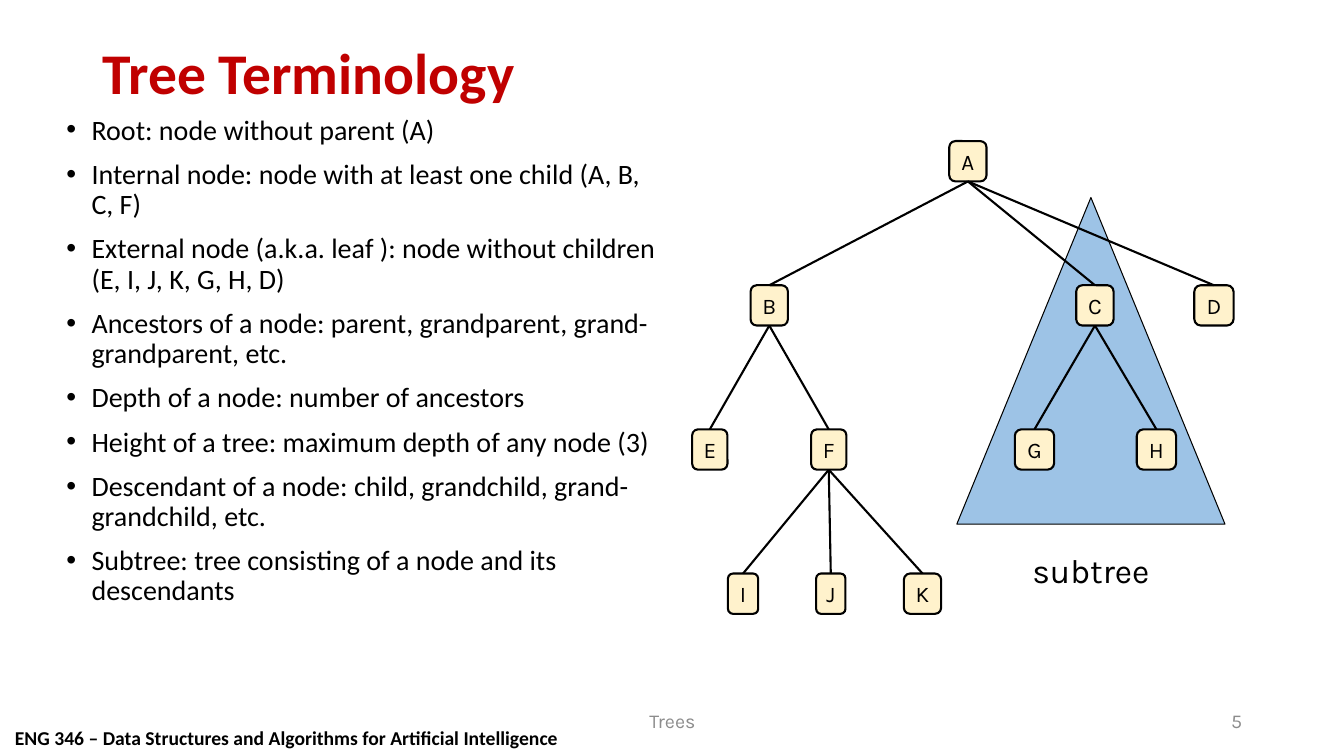
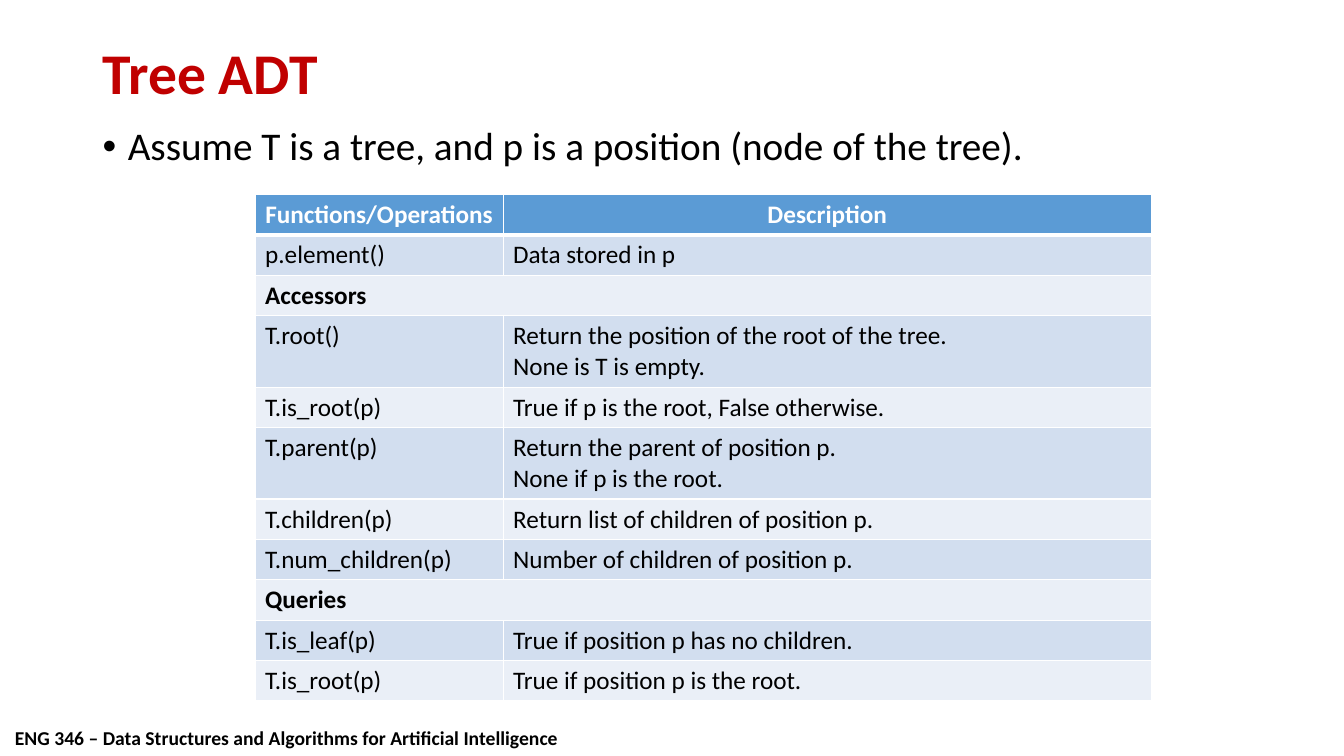
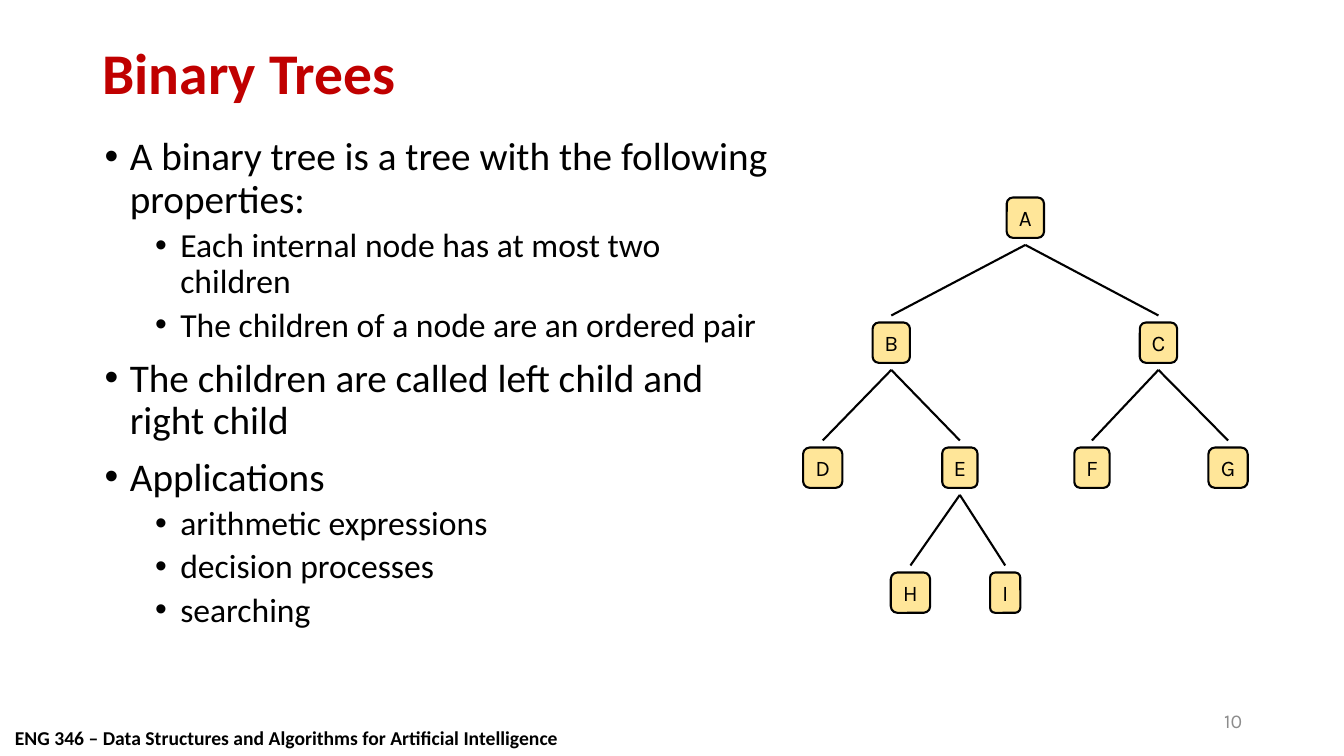
from lxml import etree
from pptx import Presentation
from pptx.dml.color import RGBColor
from pptx.enum.shapes import MSO_CONNECTOR, MSO_SHAPE
from pptx.enum.text import MSO_ANCHOR, PP_ALIGN
from pptx.oxml.ns import qn
from pptx.util import Inches, Pt

BLACK, WHITE, RED, GREY = "000000", "FFFFFF", "C00000", "8C8C8C"
HEADER, BAND_DARK, BAND_LIGHT = "5B9BD5", "D2DEEF", "EAEFF7"
CREAM, YELLOW, SUBTREE_BLUE = "FFF2CC", "FFE699", "9DC3E6"
BODY_FONT, LABEL_FONT = "Calibri", "Karla"
COURSE = "ENG 346 – Data Structures and Algorithms for Artificial Intelligence"
NODE_HEIGHT = 0.4
NODE_WIDTHS = {"A": 0.37, "B": 0.37, "C": 0.37, "D": 0.39, "E": 0.35, "F": 0.35,
               "G": 0.39, "H": 0.39, "I": 0.3, "J": 0.29, "K": 0.37}

TERMS = [
    "Root: node without parent (A)",
    "Internal node: node with at least one child (A, B, C, F)",
    "External node (a.k.a. leaf ): node without children (E, I, J, K, G, H, D)",
    "Ancestors of a node: parent, grandparent, grand-grandparent, etc.",
    "Depth of a node: number of ancestors",
    "Height of a tree: maximum depth of any node (3)",
    "Descendant of a node: child, grandchild, grand-grandchild, etc.",
    "Subtree: tree consisting of a node and its descendants",
]
BINARY_POINTS = [
    (0, "A binary tree is a tree with the following properties:"),
    (1, "Each internal node has at most two children"),
    (1, "The children of a node are an ordered pair"),
    (0, "The children are called left child and right child"),
    (0, "Applications"),
    (1, "arithmetic expressions"),
    (1, "decision processes"),
    (1, "searching"),
]
OPERATIONS = [
    ("Functions/Operations", "Description"),
    ("p.element()", "Data stored in p"),
    ("Accessors", None),
    ("T.root()", "Return the position of the root of the tree.\nNone is T is empty."),
    ("T.is_root(p)", "True if p is the root, False otherwise."),
    ("T.parent(p)", "Return the parent of position p.\nNone if p is the root."),
    ("T.children(p)", "Return list of children of position p."),
    ("T.num_children(p)", "Number of children of position p."),
    ("Queries", None),
    ("T.is_leaf(p)", "True if position p has no children."),
    ("T.is_root(p)", "True if position p is the root."),
]
# node: (parent, centre from the left of the tree's box)
GENERAL_TREE = {
    "A": (None, 2.73), "B": ("A", 0.76), "C": ("A", 3.99), "D": ("A", 5.17),
    "E": ("B", 0.17), "F": ("B", 1.35), "G": ("C", 3.39), "H": ("C", 4.6),
    "I": ("F", 0.5), "J": ("F", 1.37), "K": ("F", 2.28),
}
BINARY_TREE = {
    "A": (None, 2.21), "B": ("A", 0.88), "C": ("A", 3.53), "D": ("B", 0.2),
    "E": ("B", 1.56), "F": ("C", 2.87), "G": ("C", 4.22), "H": ("E", 1.07),
    "I": ("E", 2.01),
}


def rgb(color):
    return RGBColor.from_string(color)


def write(p, text, size=18, color=BLACK, font=BODY_FONT, bold=False, align=PP_ALIGN.LEFT):
    p.alignment = align
    r = p.add_run()
    r.text = text
    r.font.size, r.font.name, r.font.bold = Pt(size), font, bold
    r.font.color.rgb = rgb(color)


def add_box(s, x, y, w, h, anchor=MSO_ANCHOR.TOP, wrap=True):
    tf = s.shapes.add_textbox(Inches(x), Inches(y), Inches(w), Inches(h)).text_frame
    tf.word_wrap, tf.vertical_anchor = wrap, anchor
    return tf


def add_label(s, x, y, w, h, text, wrap=True, **fmt):
    tf = add_box(s, x, y, w, h, MSO_ANCHOR.MIDDLE, wrap)
    write(tf.paragraphs[0], text, **fmt)
    return tf


def add_bullets(s, x, y, w, h, points, sizes):
    """Place (level, text) points, with one text size per level."""
    tf = add_box(s, x, y, w, h)
    for i, (level, text) in enumerate(points):
        p = tf.add_paragraph() if i else tf.paragraphs[0]
        p.level, p.line_spacing = level, 0.9
        if i:
            p.space_before = Pt(5 if level else 10)
        pPr = p._p.get_or_add_pPr()
        pPr.set("marL", str(Inches(0.25 + 0.5 * level)))
        pPr.set("indent", str(Inches(-0.25)))
        clr = etree.SubElement(pPr, qn("a:buClr"))
        etree.SubElement(clr, qn("a:srgbClr"), val=BLACK)
        etree.SubElement(pPr, qn("a:buFont"), typeface="Arial")
        etree.SubElement(pPr, qn("a:buChar"), char="•")
        write(p, text, size=sizes[level])


def add_outlined(s, preset, x, y, w, h, fill, line_width):
    sp = s.shapes.add_shape(preset, Inches(x), Inches(y), Inches(w), Inches(h))
    sp.shadow.inherit = False
    sp.fill.solid()
    sp.fill.fore_color.rgb = rgb(fill)
    sp.line.color.rgb = rgb(BLACK)
    sp.line.width = Pt(line_width)
    return sp


def add_node(s, name, center, top, fill):
    width = NODE_WIDTHS[name]
    sp = add_outlined(s, MSO_SHAPE.ROUNDED_RECTANGLE, center - width / 2, top,
                      width, NODE_HEIGHT, fill, 1.5)
    tf = sp.text_frame
    tf.word_wrap, tf.vertical_anchor = False, MSO_ANCHOR.MIDDLE
    write(tf.paragraphs[0], name, size=16, font=LABEL_FONT, align=PP_ALIGN.CENTER)
    return sp


def add_tree(s, left, top, nodes, step, fill, gap=0):
    """Draw nodes by depth; edges join the nodes, or stop a gap short of them."""
    shapes, tops = {}, {}
    for name, (parent, center) in nodes.items():
        tops[name] = tops[parent] + step if parent else top
        shapes[name] = add_node(s, name, left + center, tops[name], fill)
    for name, (parent, center) in nodes.items():
        if not parent:
            continue
        line = s.shapes.add_connector(
            MSO_CONNECTOR.STRAIGHT,
            Inches(left + nodes[parent][1]), Inches(tops[parent] + NODE_HEIGHT + gap),
            Inches(left + center), Inches(tops[name] - gap))
        line.line.color.rgb = rgb(BLACK)
        line.line.width = Pt(1.5)
        etree.SubElement(line._element.spPr, qn("a:effectLst"))
        if not gap:
            line.begin_connect(shapes[parent], 2)
            line.end_connect(shapes[name], 0)


def set_borders(cell, **widths):
    tcPr = cell._tc.get_or_add_tcPr()
    for i, side in enumerate("LRTB"):
        ln = etree.Element(qn("a:ln" + side), w=str(Pt(widths.get(side, 0.96))))
        fill = etree.SubElement(ln, qn("a:solidFill"))
        etree.SubElement(fill, qn("a:srgbClr"), val=WHITE)
        tcPr.insert(i, ln)


def add_operations(s, x, y, col_widths, rows):
    """Table with a header row; a row without description is a section heading."""
    heights = [0.71 if "\n" in (about or "") else 0.4 for _, about in rows]
    table = s.shapes.add_table(len(rows), 2, Inches(x), Inches(y),
                               Inches(sum(col_widths)), Inches(sum(heights))).table
    for col, width in zip(table.columns, col_widths):
        col.width = Inches(width)
    for i, row in enumerate(rows):
        table.rows[i].height = Inches(heights[i])
        header, section = i == 0, row[1] is None
        fill = HEADER if header else BAND_DARK if i % 2 else BAND_LIGHT
        for j, text in enumerate(row):
            cell = table.cell(i, j)
            cell.fill.solid()
            cell.fill.fore_color.rgb = rgb(fill)
            set_borders(cell, **({"B": 3} if header else {"T": 3} if i == 1 else {}))
            for k, line in enumerate(text.split("\n") if text else []):
                p = cell.text_frame.add_paragraph() if k else cell.text_frame.paragraphs[0]
                write(p, line, bold=header or section, color=WHITE if header else BLACK,
                      align=PP_ALIGN.CENTER if header else PP_ALIGN.LEFT)
        if section:
            table.cell(i, 0).merge(table.cell(i, 1))


def add_slide(prs, title, number=None, topic=None):
    """Blank slide with the shared title, course line and optional footers."""
    s = prs.slides.add_slide(prs.slide_layouts[6])
    add_label(s, 0.05, 7.15, 5.63, 0.33, COURSE, wrap=False, size=14, bold=True)
    footer = {"size": 14, "font": LABEL_FONT, "color": GREY}
    if topic:
        add_label(s, 4.42, 6.95, 4.5, 0.4, topic, align=PP_ALIGN.CENTER, **footer)
    if number:
        add_label(s, 9.42, 6.95, 3, 0.4, number, align=PP_ALIGN.RIGHT, **footer)
    tf = add_label(s, 0.92, 0.4, 11.5, 0.7, title, size=41.1, color=RED, bold=True)
    tf.paragraphs[0].line_spacing = 0.9
    return s


def add_subtree_mark(s, x, y, w, h):
    add_outlined(s, MSO_SHAPE.ISOSCELES_TRIANGLE, x, y, w, h, SUBTREE_BLUE, 0.75)
    add_label(s, x, y + h + 0.21, w, 0.5, "subtree", size=24, font=LABEL_FONT,
              align=PP_ALIGN.CENTER)


def terminology_slide(prs):
    s = add_slide(prs, "Tree Terminology", "5", "Trees")
    add_subtree_mark(s, 9.49, 1.96, 2.66, 3.24)
    add_bullets(s, 0.56, 1.1, 6.04, 5.85, [(0, term) for term in TERMS], [20])
    add_tree(s, 6.87, 1.4, GENERAL_TREE, 1.43, CREAM)


def adt_slide(prs):
    s = add_slide(prs, "Tree ADT")
    add_operations(s, 2.53, 1.93, [2.46, 6.43], OPERATIONS)
    add_bullets(s, 0.92, 1.21, 11.5, 0.61,
                [(0, "Assume T is a tree, and p is a position (node of the tree).")], [28])


def binary_slide(prs):
    s = add_slide(prs, "Binary Trees", "10")
    add_bullets(s, 0.94, 1.31, 6.8, 5.64, BINARY_POINTS, [28, 24])
    add_tree(s, 7.96, 1.96, BINARY_TREE, 1.24, YELLOW, gap=0.07)


def main():
    prs = Presentation()
    prs.slide_width, prs.slide_height = Inches(13.33), Inches(7.5)
    terminology_slide(prs)
    adt_slide(prs)
    binary_slide(prs)
    prs.save("out.pptx")


if __name__ == "__main__":
    main()
